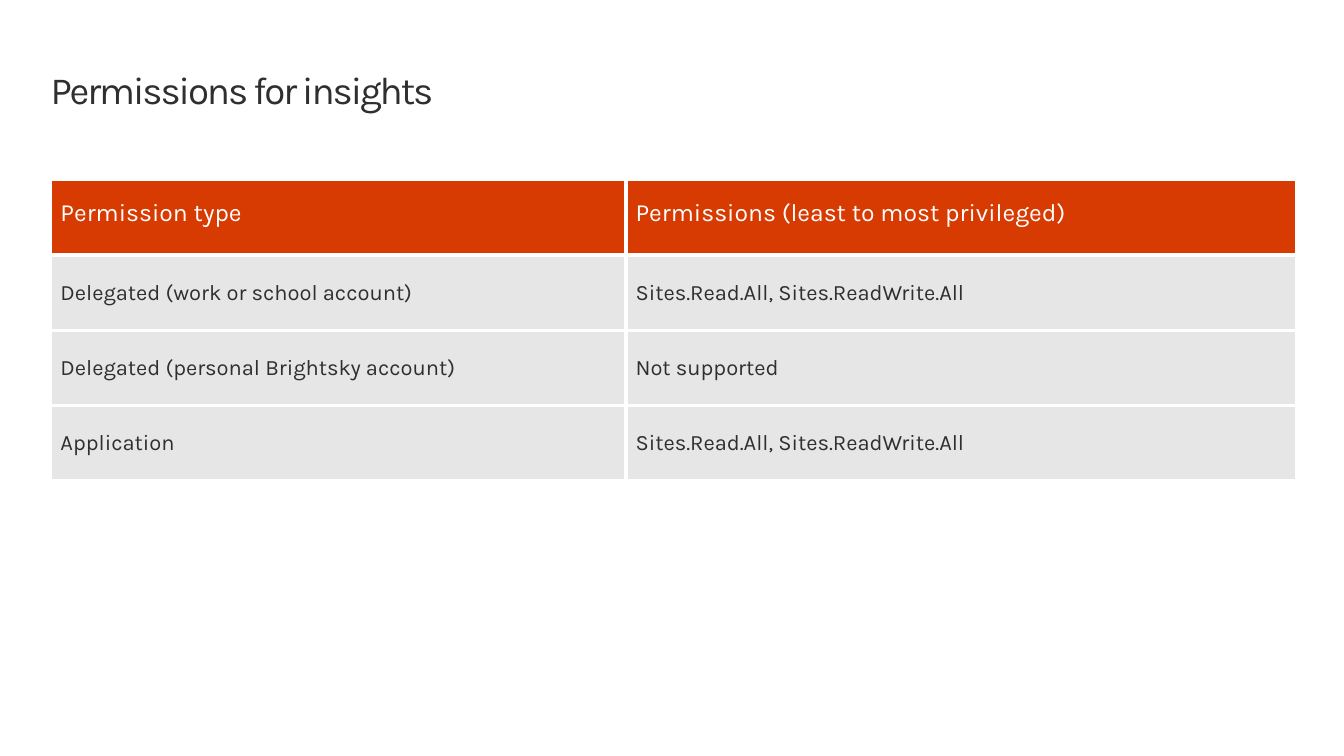
"""Build the slide that lists the permissions needed for insights."""
from lxml import etree
from pptx import Presentation
from pptx import util as u
from pptx.dml.color import RGBColor
from pptx.enum import text
from pptx.oxml.ns import qn

HEADING = "Permissions for insights"
PERMISSIONS = [
    ("Permission type", "Permissions (least to most privileged)"),
    ("Delegated (work or school account)", "Sites.Read.All, Sites.ReadWrite.All"),
    ("Delegated (personal Brightsky account)", "Not supported"),
    ("Application", "Sites.Read.All, Sites.ReadWrite.All"),
]
COLUMN_WIDTHS = (14.78, 17.25)
ROW_HEIGHTS = (1.96, 1.93, 1.93, 1.93)
LEFT, HEADING_TOP, TABLE_TOP = 1.3, 1.75, 4.6
INK, WHITE, ORANGE, GREY = "2F2F2F", "FFFFFF", "D83B01", "E6E6E6"


def color(value):
    return RGBColor.from_string(value)


def write(paragraph, words, size, ink, line=None):
    run = paragraph.add_run()
    run.text = words
    font = paragraph.font
    font.name, font.size, font.bold = "Karla", u.Pt(size), False
    font.color.rgb = color(ink)
    if line:
        paragraph.line_spacing = u.Pt(line)
    return run


def add_borders(cell, ink, width):
    properties = cell._tc.get_or_add_tcPr()
    for side in ("lnL", "lnR", "lnT", "lnB"):
        border = etree.SubElement(properties, qn(f"a:{side}"), w=str(u.Pt(width)))
        fill = etree.SubElement(border, qn("a:solidFill"))
        etree.SubElement(fill, qn("a:srgbClr"), val=ink)


def add_heading(slide):
    box = slide.shapes.add_textbox(
        u.Cm(LEFT), u.Cm(HEADING_TOP), u.Cm(sum(COLUMN_WIDTHS)), u.Cm(1.14))
    frame = box.text_frame
    frame.word_wrap = True
    frame.margin_left = frame.margin_right = frame.margin_top = frame.margin_bottom = 0
    run = write(frame.paragraphs[0], HEADING, 28, INK, 32)
    run._r.get_or_add_rPr().set("spc", "-150")


def add_permissions(slide):
    table = slide.shapes.add_table(
        len(PERMISSIONS), len(COLUMN_WIDTHS), u.Cm(LEFT), u.Cm(TABLE_TOP),
        u.Cm(sum(COLUMN_WIDTHS)), u.Cm(sum(ROW_HEIGHTS))).table
    table.horz_banding = False
    for column, width in zip(table.columns, COLUMN_WIDTHS):
        column.width = u.Cm(width)
    for row, height, entries in zip(table.rows, ROW_HEIGHTS, PERMISSIONS):
        row.height = u.Cm(height)
        header = entries is PERMISSIONS[0]
        size, ink, line = (18, WHITE, 16) if header else (16, INK, None)
        for cell, words in zip(row.cells, entries):
            add_borders(cell, WHITE, 3)
            cell.fill.solid()
            cell.fill.fore_color.rgb = color(ORANGE if header else GREY)
            cell.vertical_anchor = text.MSO_ANCHOR.MIDDLE
            write(cell.text_frame.paragraphs[0], words, size, ink, line)


def main():
    deck = Presentation()
    deck.slide_width, deck.slide_height = u.Cm(34.54), u.Cm(19.43)
    slide = deck.slides.add_slide(deck.slide_layouts[6])
    add_permissions(slide)
    add_heading(slide)
    deck.save("out.pptx")


if __name__ == "__main__":
    main()
